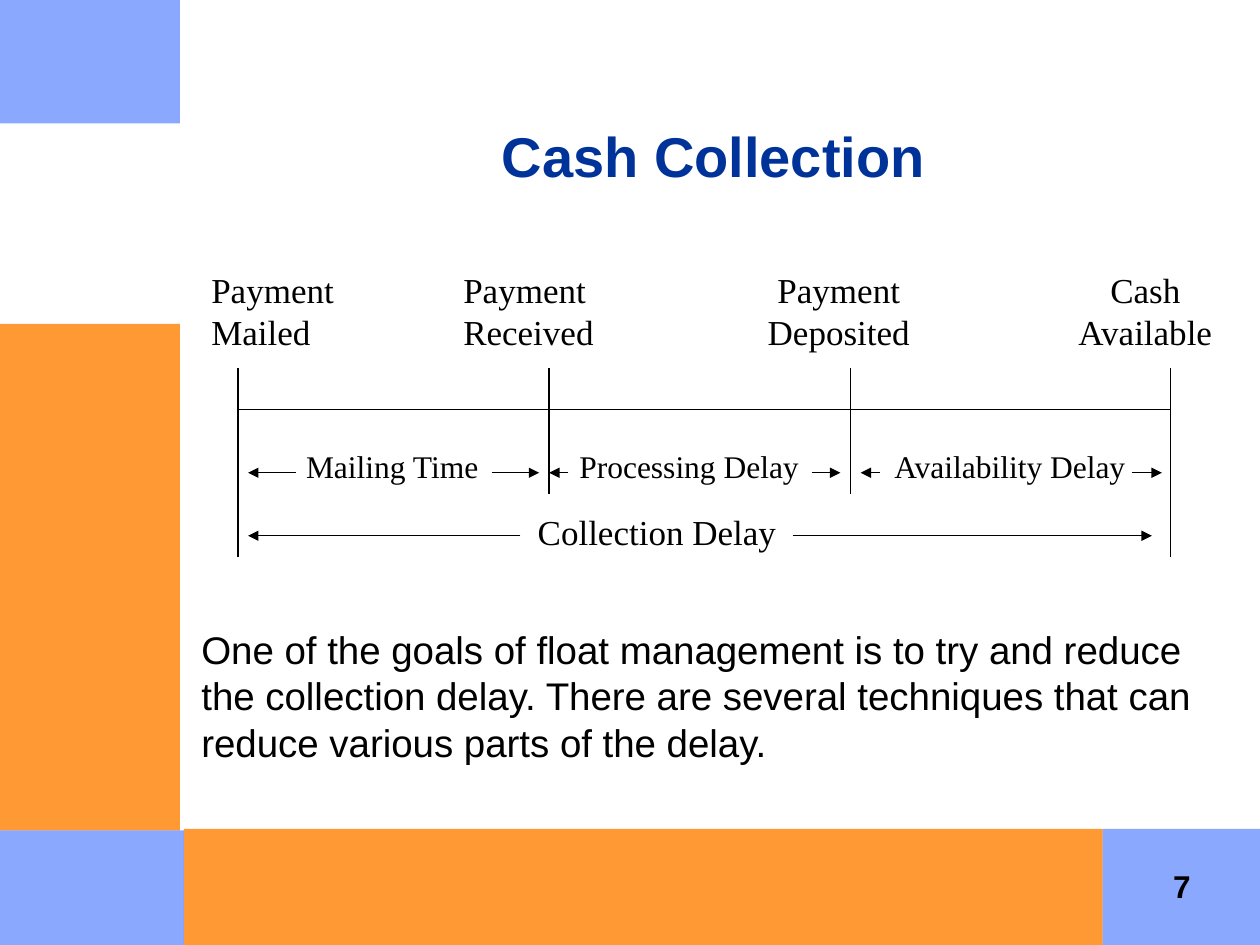
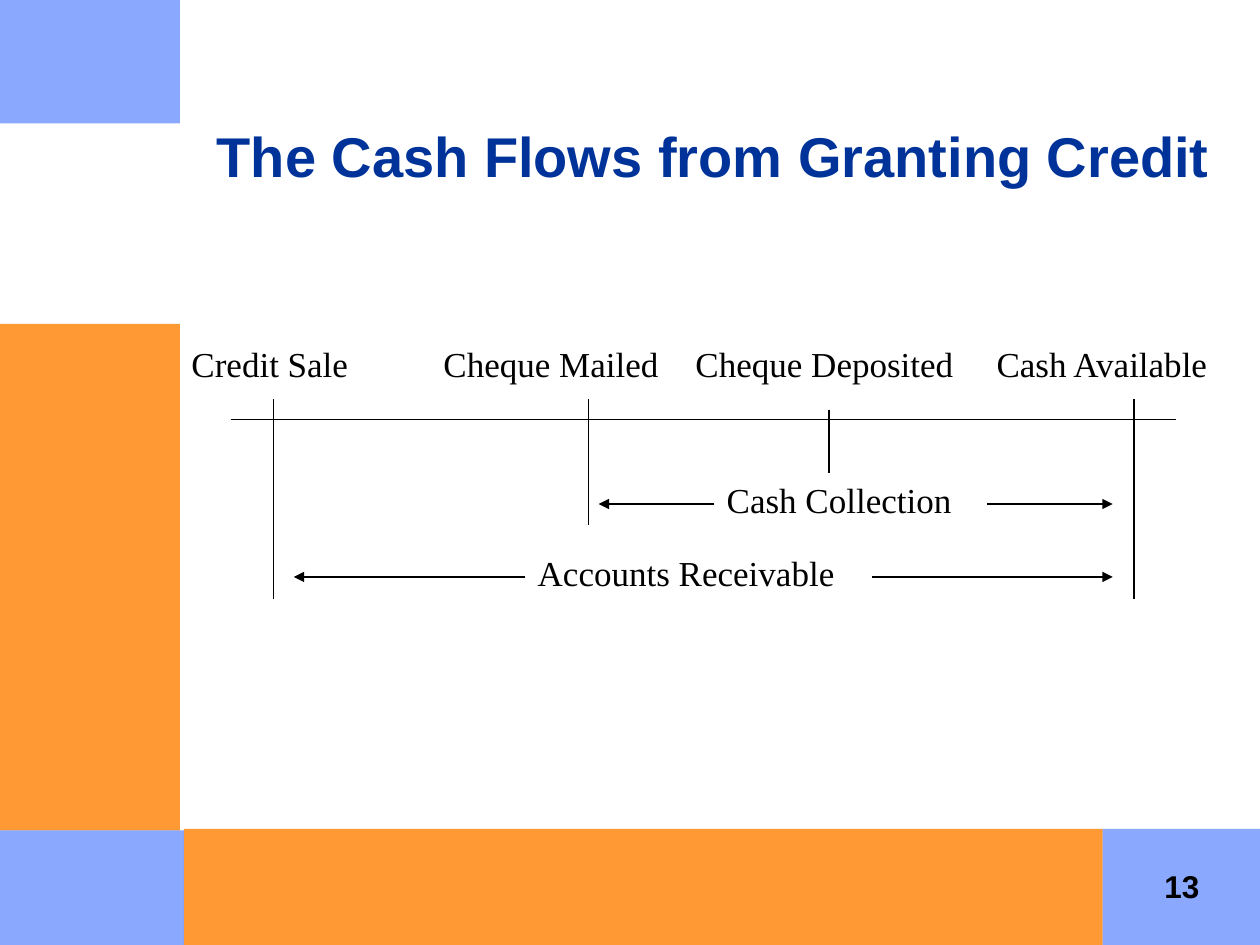
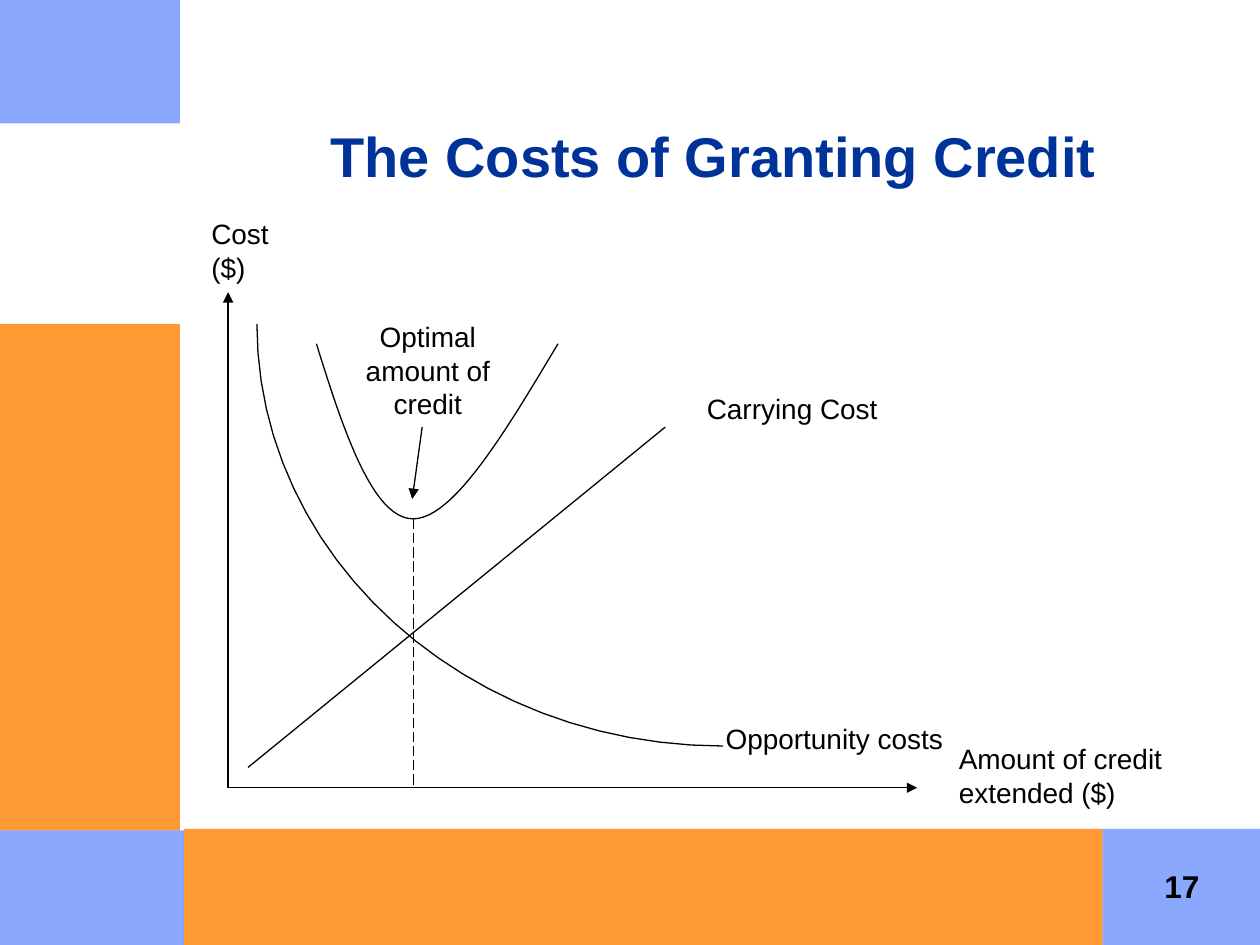
"""Build three slides on cash collection and the granting of credit."""
from dataclasses import dataclass

from lxml.etree import SubElement
from pptx import Presentation
from pptx.dml.color import RGBColor
from pptx.enum.dml import MSO_LINE
from pptx.enum.shapes import MSO_CONNECTOR, MSO_SHAPE
from pptx.enum.text import MSO_ANCHOR, MSO_AUTO_SIZE, PP_ALIGN
from pptx.oxml.ns import qn
from pptx.util import Cm, Pt


@dataclass(frozen=True)
class Theme:
    orange: RGBColor = RGBColor(0xFF, 0x99, 0x33)
    blue: RGBColor = RGBColor(0x33, 0x66, 0xFF)
    navy: RGBColor = RGBColor(0x00, 0x33, 0x99)
    black: RGBColor = RGBColor(0x00, 0x00, 0x00)
    blue_opacity: int = 57
    sans: str = "Arial"
    serif: str = "Times New Roman"
    title_size: int = 32
    body_size: int = 22
    event_size: int = 20
    number_size: int = 18
    phase_size: int = 18
    chart_size: int = 16
    line_width: float = 0.75


def bezier(start, first_control, second_control, end, steps=24):
    points = []
    for step in range(steps + 1):
        t = step / steps
        weights = ((1 - t) ** 3, 3 * t * (1 - t) ** 2, 3 * t * t * (1 - t), t ** 3)
        corners = (start, first_control, second_control, end)
        points.append(tuple(
            sum(weight * corner[axis] for weight, corner in zip(weights, corners))
            for axis in (0, 1)))
    return points


class Deck:
    def __init__(self, theme):
        self.theme = theme
        self.presentation = Presentation()
        self.presentation.slide_width = Cm(25.4)
        self.presentation.slide_height = Cm(19.05)
        self.layout = self.presentation.slide_layouts[5]
        self.slide = None

    def start_slide(self, title, number):
        self.slide = self.presentation.slides.add_slide(self.layout)
        if len(self.presentation.slides) == 1:
            self.add_bands_to_layout()
        self.place_title(title)
        self.text(str(number), 22.68, 17.22, 2.29, 1.27, self.theme.number_size,
                  bold=True, alignment=PP_ALIGN.CENTER, anchor=MSO_ANCHOR.MIDDLE)

    def add_bands_to_layout(self):
        orange, blue = self.theme.orange, self.theme.blue
        bands = [
            (orange, 3.71, 16.71, 18.52, 2.34),
            (blue, 0, 0, 3.63, 2.49),
            (orange, 0, 6.53, 3.63, 10.21),
            (blue, 0, 16.74, 3.71, 2.31),
            (blue, 22.23, 16.71, 3.17, 2.34),
        ]
        layout_tree = self.layout.shapes.element
        for index, band in enumerate(bands):
            element = self.band(*band).element
            element.nvSpPr.cNvPr.set("id", str(101 + index))
            layout_tree.insert(2 + index, element)

    def band(self, color, left, top, width, height):
        shape = self.slide.shapes.add_shape(
            MSO_SHAPE.RECTANGLE, Cm(left), Cm(top), Cm(width), Cm(height))
        shape.shadow.inherit = False
        shape.line.fill.background()
        shape.fill.solid()
        shape.fill.fore_color.rgb = color
        if color == self.theme.blue:
            color_element = shape.element.spPr.find(".//" + qn("a:srgbClr"))
            alpha = SubElement(color_element, qn("a:alpha"))
            alpha.set("val", str(self.theme.blue_opacity * 1000))
        return shape

    def place_title(self, title):
        shape = self.slide.shapes.title
        shape.left, shape.top = Cm(4.01), Cm(0.64)
        shape.width, shape.height = Cm(20.75), Cm(3.3)
        frame = shape.text_frame
        frame.text = title
        frame.auto_size = MSO_AUTO_SIZE.NONE
        frame.vertical_anchor = MSO_ANCHOR.BOTTOM
        self.format(frame.paragraphs[0], self.theme.title_size, self.theme.sans,
                    self.theme.navy, True, PP_ALIGN.CENTER)

    def format(self, paragraph, size, font, color, bold, alignment):
        paragraph.alignment = alignment
        paragraph.font.size = Pt(size)
        paragraph.font.name = font
        paragraph.font.bold = bold
        paragraph.font.color.rgb = color

    def text(self, content, left, top, width, height, size, font=None, bold=False,
             alignment=PP_ALIGN.LEFT, anchor=MSO_ANCHOR.TOP, tabs=()):
        box = self.slide.shapes.add_textbox(Cm(left), Cm(top), Cm(width), Cm(height))
        frame = box.text_frame
        frame.word_wrap = True
        frame.vertical_anchor = anchor
        frame.text = content
        for paragraph in frame.paragraphs:
            if tabs:
                self.set_tabs(paragraph, tabs)
            self.format(paragraph, size, font or self.theme.sans, self.theme.black,
                        bold, alignment)

    def set_tabs(self, paragraph, tabs):
        tab_list = SubElement(paragraph._p.get_or_add_pPr(), qn("a:tabLst"))
        for position, alignment in tabs:
            tab = SubElement(tab_list, qn("a:tab"))
            tab.set("pos", str(Cm(position)))
            tab.set("algn", alignment)

    def style_line(self, line):
        line.color.rgb = self.theme.black
        line.width = Pt(self.theme.line_width)

    def line(self, start, end, arrow=False, dash=None):
        connector = self.slide.shapes.add_connector(
            MSO_CONNECTOR.STRAIGHT, *(Cm(value) for value in (*start, *end)))
        self.style_line(connector.line)
        if dash:
            connector.line.dash_style = dash
        if arrow:
            SubElement(connector.get_or_add_ln(), qn("a:tailEnd")).set("type", "triangle")
        SubElement(connector.element.spPr, qn("a:effectLst"))

    def curve(self, points):
        start, *others = [(Cm(x), Cm(y)) for x, y in points]
        builder = self.slide.shapes.build_freeform(*start)
        builder.add_line_segments(others, close=False)
        shape = builder.convert_to_shape()
        shape.shadow.inherit = False
        shape.fill.background()
        self.style_line(shape.line)

    def timeline(self, axis_start, axis_end, axis_top, ticks):
        self.line((axis_start, axis_top), (axis_end, axis_top))
        for x, top, bottom in ticks:
            self.line((x, top), (x, bottom))

    def span(self, label, left, top, width, size, arrow_top, arrows):
        self.text(label, left, top, width, 1.1, size, self.theme.serif)
        for start, end in arrows:
            self.line((start, arrow_top), (end, arrow_top), arrow=True)


def build_collection(deck):
    theme = deck.theme
    deck.start_slide("Cash Collection", 7)
    deck.timeline(4.8, 23.6, 8.26, [
        (4.8, 7.42, 11.23), (11.07, 7.42, 9.96), (17.15, 7.42, 9.96), (23.6, 7.42, 11.23)])
    deck.text("Payment\tPayment\tPayment\tCash\nMailed\tReceived\tDeposited\tAvailable",
              4.01, 5.28, 20.96, 1.96, theme.event_size, theme.serif,
              tabs=[(5.08, "l"), (12.65, "ctr"), (18.83, "ctr")])
    phases = [
        ("Mailing Time", 5.92, 4.32, [(5.97, 5), (9.91, 10.87)]),
        ("Processing Delay", 11.43, 5.28, [(11.46, 11.07), (16.36, 16.94)]),
        ("Availability Delay", 17.78, 5.69, [(17.73, 17.35), (22.81, 23.42)]),
    ]
    for label, left, width, arrows in phases:
        deck.span(label, left, 8.89, width, theme.phase_size, 9.53, arrows)
    deck.span("Collection Delay", 10.59, 10.16, 5.84, theme.event_size, 10.8,
              [(10.49, 5), (15.98, 23.22)])
    deck.text("One of the goals of float management is to try and reduce the collection "
              "delay. There are several techniques that can reduce various parts of the delay.",
              3.81, 12.5, 20.52, 3.05, theme.body_size)


def build_cash_flows(deck):
    theme = deck.theme
    deck.start_slide("The Cash Flows from Granting Credit", 13)
    deck.timeline(4.65, 23.7, 8.46, [
        (5.51, 8.05, 12.07), (11.86, 8.05, 10.59), (16.71, 8.26, 9.53), (22.86, 8.05, 12.07)])
    deck.text("Credit Sale\tCheque Mailed\tCheque Deposited\tCash Available",
              3.61, 6.78, 21.39, 1.12, theme.event_size, theme.serif,
              tabs=[(5.08, "l"), (10.16, "l"), (16.23, "l")])
    deck.span("Cash Collection", 14.4, 9.53, 5.28, theme.event_size, 10.16,
              [(14.4, 12.07), (19.89, 22.43)])
    deck.span("Accounts Receivable", 10.59, 11, 7.19, theme.event_size, 11.63,
              [(10.59, 5.92), (17.58, 22.43)])


def build_costs(deck):
    deck.start_slide("The Costs of Granting Credit", 17)
    origin, optimum = (4.6, 15.88), (8.33, 10.46)
    deck.line(origin, (18.49, origin[1]), arrow=True)
    deck.line(origin, (origin[0], 5.89), arrow=True)
    deck.line((8.51, 8.61), (8.31, 10.06), arrow=True)
    deck.line((5, 15.47), (13.41, 8.61))
    deck.curve(bezier((14.58, 15.04), (9.4, 15.04), (5.18, 11.23), (5.18, 6.53)))
    falling = bezier((6.38, 6.93), (6.93, 8.71), (7.52, 10.46), optimum)
    rising = bezier(optimum, (9.14, 10.46), (10.19, 8.71), (11.25, 6.93))
    deck.curve(falling + rising[1:])
    deck.line(optimum, (optimum[0], origin[1]), dash=MSO_LINE.LONG_DASH)
    labels = [
        ("Cost ($)", 4.01, 4.24, 2.34, 1.63, PP_ALIGN.LEFT),
        ("Amount of credit extended ($)", 19.08, 14.83, 5.28, 1.63, PP_ALIGN.LEFT),
        ("Opportunity costs", 14.38, 14.43, 5.46, 0.94, PP_ALIGN.LEFT),
        ("Carrying Cost", 14, 7.77, 4.29, 0.94, PP_ALIGN.LEFT),
        ("Optimal amount of credit", 6.96, 6.32, 3.33, 2.29, PP_ALIGN.CENTER),
    ]
    for label, left, top, width, height, alignment in labels:
        deck.text(label, left, top, width, height, deck.theme.chart_size, alignment=alignment)


def main():
    deck = Deck(Theme())
    build_collection(deck)
    build_cash_flows(deck)
    build_costs(deck)
    deck.presentation.save("out.pptx")


if __name__ == "__main__":
    main()
